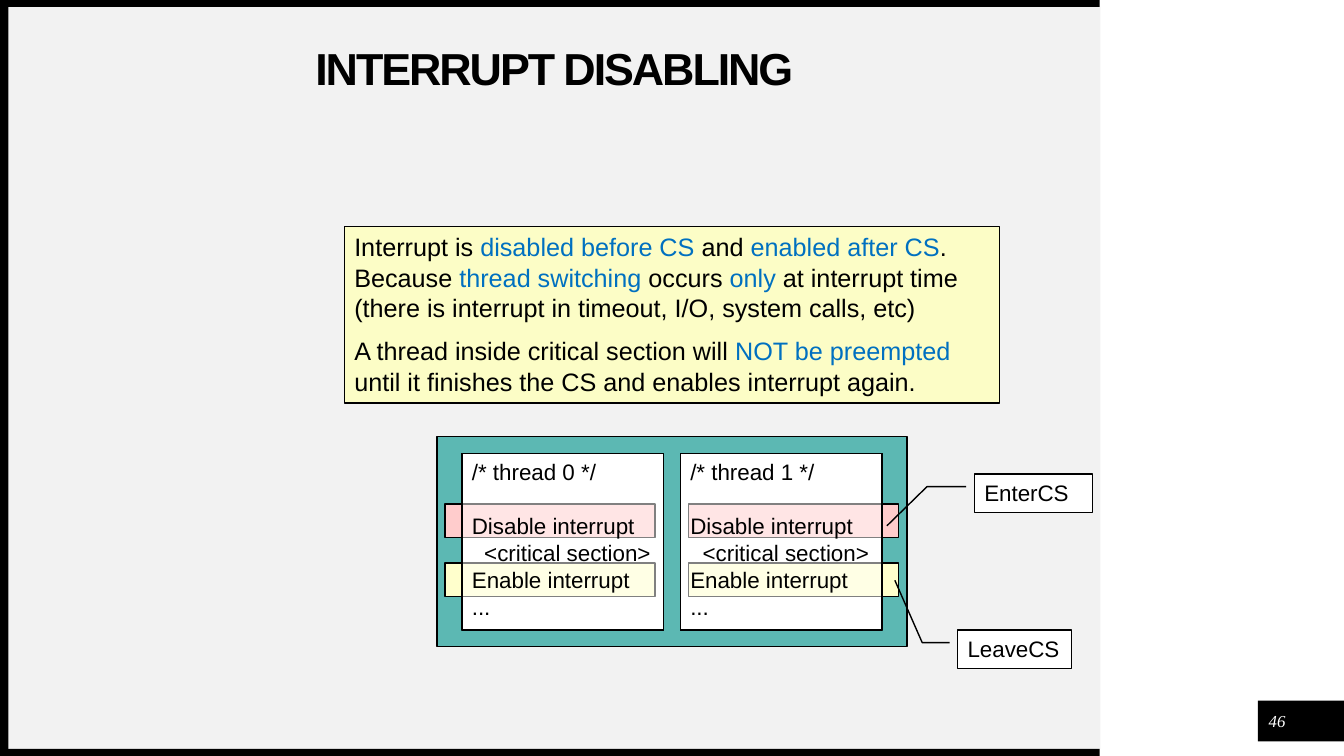
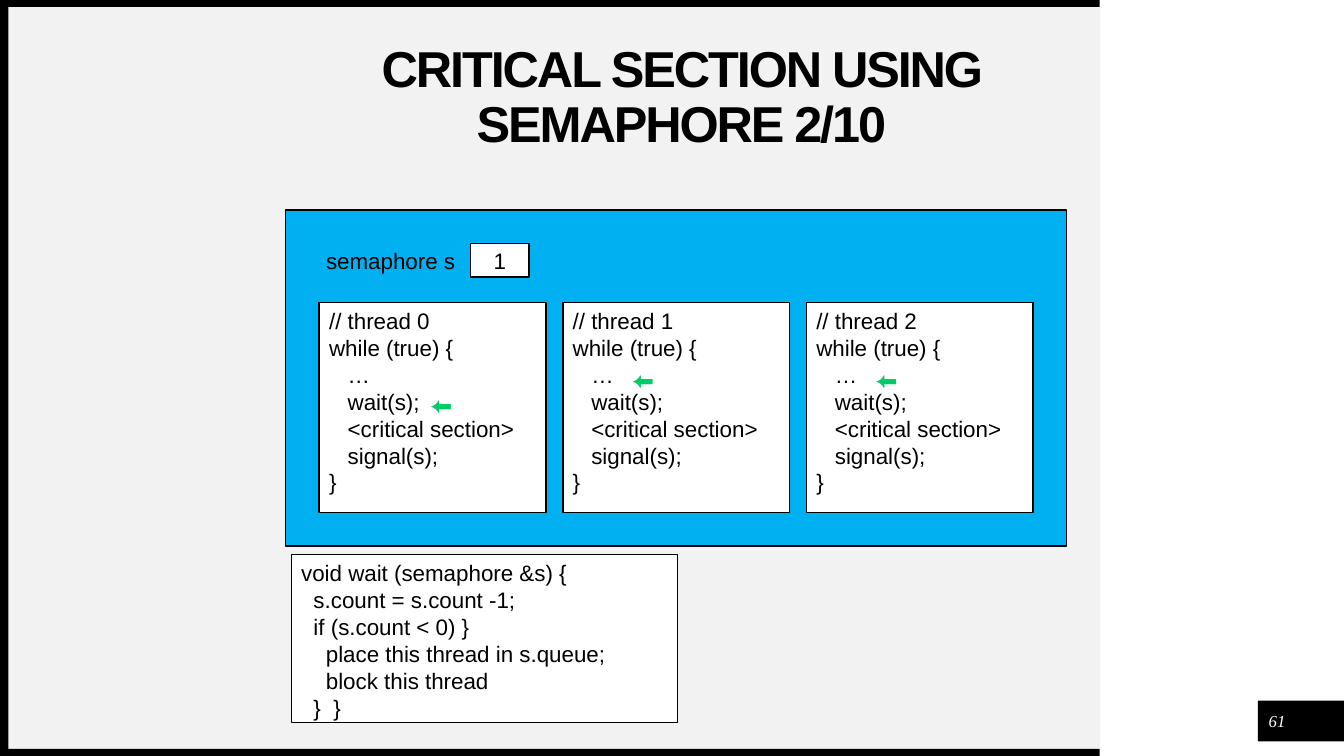
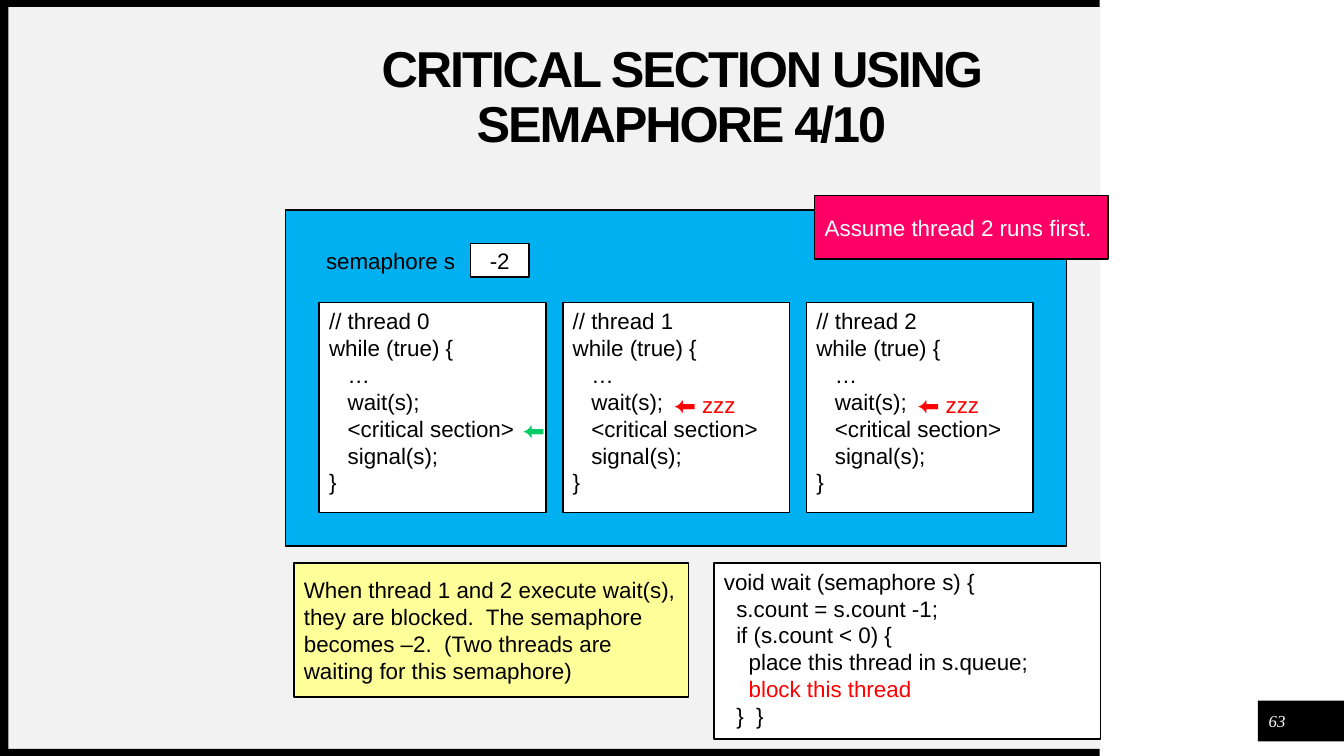
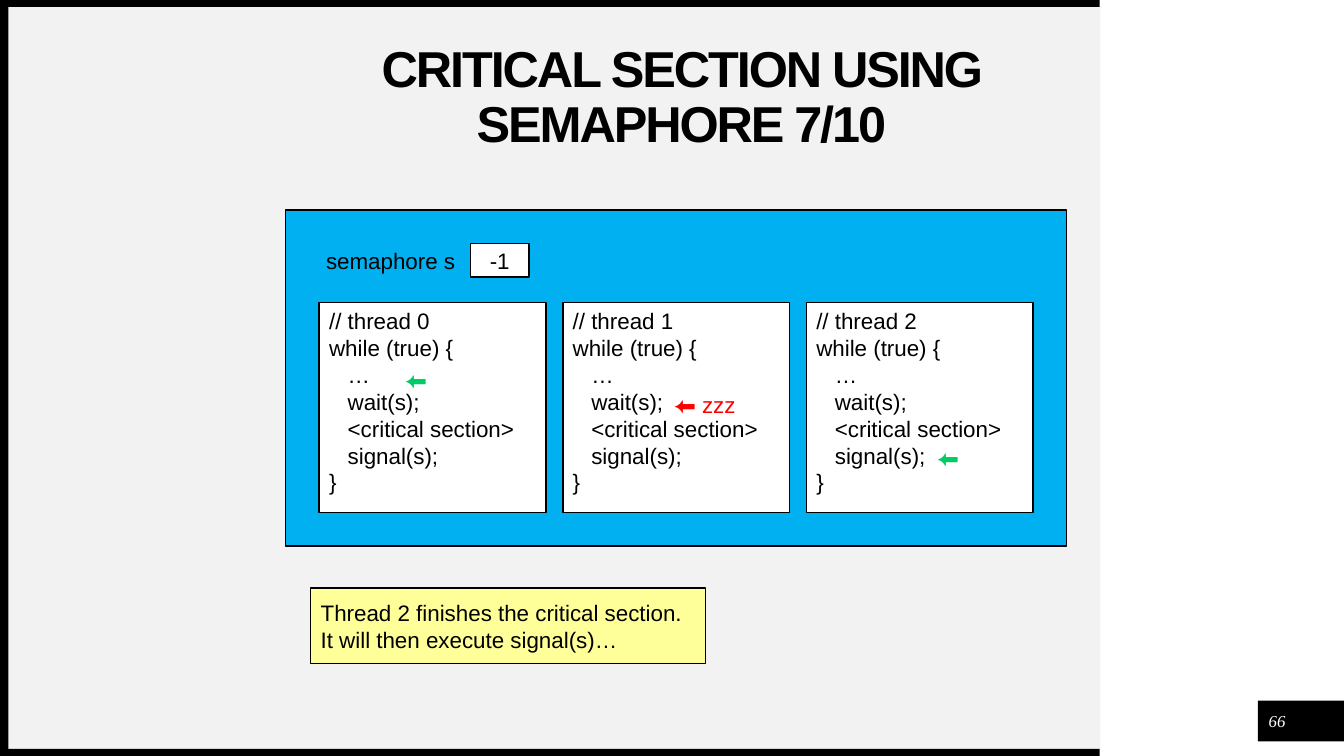
from pptx import Presentation
from pptx.dml.color import RGBColor
from pptx.enum import shapes, text
from pptx.util import Pt
from lxml import etree

BLACK, WHITE, BLUE, RED, GREEN = "000000", "FFFFFF", "0070C0", "FF0000", "00CC66"
ENTER, LEAVE, NOTE = "FFCCCC", "FFFFCC", "FFFF99"
BODY, NUMBER = "Arial", "Times New Roman"
RECT = shapes.MSO_SHAPE.RECTANGLE
CALLOUT = shapes.MSO_SHAPE.LINE_CALLOUT_2
MIDDLE = text.MSO_ANCHOR.MIDDLE
CENTER = text.PP_ALIGN.CENTER

BANDS = [
    ((6, 5, 780, 530), "F2F2F2"),
    ((898.5, 500.5, 61.5, 29), BLACK),
    ((0, 535, 785.5, 5), BLACK),
    ((0, 0, 785.5, 5), BLACK),
    ((0, 0, 6, 540), BLACK),
]

INTERRUPT = {
    "title": "INTERRUPT DISABLING",
    "number": "46",
    "prose": [
        [("Interrupt is ", BLACK), ("disabled before CS ", BLUE), ("and ", BLACK),
         ("enabled after CS", BLUE), (".  Because ", BLACK),
         ("thread switching ", BLUE), ("occurs ", BLACK), ("only ", BLUE),
         ("at interrupt time (there is interrupt in timeout, I/O, system calls, etc)", BLACK)],
        [("A thread inside critical section will ", BLACK), ("NOT be preempted ", BLUE),
         ("until it finishes the CS and enables interrupt again.", BLACK)],
    ],
    "code": ["/* thread {} */", "Disable interrupt", "  <critical section>",
             "Enable interrupt", "..."],
    "threads": [(330, 318), (486, 492)],
    "callouts": [
        ("EnterCS", (696, 338.5, 84.5, 27.5), (0.33, -0.07, 0.33, -0.4, 1.35, -0.74)),
        ("LeaveCS", (684, 450, 81.5, 27.5), (0.33, -0.07, 0.33, -0.31, -1.29, -0.55)),
    ],
}

THREAD_CODE = ["// thread {}", "while (true) {{", "   …", "   wait(s);",
               "   <critical section>", "   signal(s);", "}}"]
MARK_TOP = {"start": 258, "wait": 276, "critical": 294, "signal": 314}

SEMAPHORE = [
    {
        "title": "CRITICAL SECTION USING SEMAPHORE 2/10", "number": "61", "count": "1",
        "marks": [(0, "wait", 72, "⬅", GREEN), (1, "start", 42, "⬅", GREEN),
                  (2, "start", 42, "⬅", GREEN)],
        "boxes": [
            ((208, 396, 276, 120), WHITE, False,
             ["void wait (semaphore &s) {", "  s.count = s.count -1;",
              "  if (s.count < 0) }", "    place this thread in s.queue;",
              "    block this thread", "  }  }"]),
        ],
    },
    {
        "title": "CRITICAL SECTION USING SEMAPHORE 4/10", "number": "63", "count": "-2",
        "marks": [(0, "critical", 138, "⬅", GREEN), (1, "wait", 72, "⬅ zzz", RED),
                  (2, "wait", 72, "⬅ zzz", RED)],
        "boxes": [
            ((210, 402, 282, 96), NOTE, True,
             ["When thread 1 and 2 execute wait(s), they are blocked.  The semaphore "
              "becomes –2.  (Two threads are waiting for this semaphore)"]),
            ((510, 402, 276, 126), WHITE, False,
             ["void wait (semaphore s) {", "  s.count = s.count -1;",
              "  if (s.count < 0) {", "    place this thread in s.queue;",
              [("    block this thread", RED)], "  }  }"]),
            ((582, 139.5, 209.5, 45.5), "FF0066", True,
             [[("Assume thread 2 runs first.", WHITE)]]),
        ],
    },
    {
        "title": "CRITICAL SECTION USING SEMAPHORE 7/10", "number": "66", "count": "-1",
        "marks": [(0, "start", 54, "⬅", GREEN), (1, "wait", 72, "⬅ zzz", RED),
                  (2, "signal", 86, "⬅", GREEN)],
        "boxes": [
            ((222, 420, 282, 54), NOTE, True,
             ["Thread 2 finishes the critical section.  It will then execute signal(s)…"]),
        ],
    },
]


def rgb(value):
    return RGBColor.from_string(value)


def write(sp, paras, size=16, color=BLACK, font=BODY, anchor=text.MSO_ANCHOR.TOP,
          align=text.PP_ALIGN.LEFT, wrap=True, inset=True, gaps=None):
    tf = sp.text_frame
    tf.word_wrap = wrap
    tf.auto_size = text.MSO_AUTO_SIZE.NONE
    tf.vertical_anchor = anchor
    if not inset:
        tf.margin_left = tf.margin_right = tf.margin_top = tf.margin_bottom = 0
    for i, runs in enumerate(paras):
        p = tf.paragraphs[0] if i == 0 else tf.add_paragraph()
        p.alignment = align
        if gaps and i in gaps:
            p.space_before = Pt(gaps[i])
        for words, run_color in [(runs, color)] if isinstance(runs, str) else runs:
            r = p.add_run()
            r.text = words
            r.font.name, r.font.size = font, Pt(size)
            r.font.color.rgb = rgb(run_color)


def box(s, at, fill, line=True, kind=RECT, alpha=None):
    sp = s.shapes.add_shape(kind, *map(Pt, at))
    sp.shadow.inherit = False
    sp.fill.solid()
    sp.fill.fore_color.rgb = rgb(fill)
    if alpha:
        clr = sp.fill._xPr.find(".//{*}srgbClr")
        etree.SubElement(clr, clr.tag.replace("srgbClr", "alpha"), val=str(alpha * 1000))
    if line:
        sp.line.color.rgb = rgb(BLACK)
        sp.line.width = Pt(1)
    else:
        sp.line.fill.background()
    return sp


def label(s, at, words, **style):
    write(s.shapes.add_textbox(*map(Pt, at)), [words], **style)


def share_bands(s):
    tree = s.slide_layout.element.cSld.spTree
    for i, (at, fill) in enumerate(BANDS):
        sp = box(s, at, fill, line=False).element
        sp.nvSpPr.cNvPr.set("id", str(100 + i))
        tree.insert(2 + i, sp)


def new_slide(prs, content, title_at, title_size):
    s = prs.slides.add_slide(prs.slide_layouts[5])
    title = s.shapes.title
    title.left, title.top, title.width, title.height = map(Pt, title_at)
    write(title, [content["title"]], title_size, anchor=MIDDLE, align=CENTER, inset=False)
    p = title.text_frame.paragraphs[0]
    p.line_spacing = 0.9
    r = p.runs[0]
    r.font.bold = True
    r.font._element.set("spc", "-150")
    sp = s.shapes.add_textbox(*map(Pt, (901.5, 504, 21.5, 21.5)))
    write(sp, [content["number"]], 12, WHITE, NUMBER, MIDDLE, CENTER, inset=False)
    sp.text_frame.paragraphs[0].runs[0].font.italic = True
    return s


def interrupt_slide(prs, content):
    s = new_slide(prs, content, (34, 34, 724, 34), 32)
    share_bands(s)
    box(s, (312, 312, 336, 150), "5CB8B3")
    for i, (x, bar_x) in enumerate(content["threads"]):
        panel = (x, 324, 144, 126)
        box(s, panel, WHITE)
        for y, fill in ((360, ENTER), (402, LEAVE)):
            box(s, (bar_x, y, 150, 24), fill)
        write(box(s, panel, WHITE, alpha=50), [c.format(i) for c in content["code"]],
              wrap=False, gaps={1: 19.2})
    write(box(s, (246, 162, 468, 126), "FCFDC6"), content["prose"], 18, gaps={1: 9.5})
    for words, at, points in content["callouts"]:
        sp = box(s, at, WHITE, kind=CALLOUT)
        for i, value in enumerate(points):
            sp.adjustments[i] = value
        write(sp, [words])


def semaphore_slide(prs, content):
    s = new_slide(prs, content, (180, 36, 613.5, 69), 36)
    box(s, (204, 150, 558, 240), "00B0F0")
    centred = dict(anchor=MIDDLE, align=CENTER, wrap=False)
    label(s, (252, 174, 54, 24), "semaphore s", **centred)
    write(box(s, (336, 174, 42, 24), WHITE), [content["count"]], **centred)
    lefts = [228 + 174 * i for i in range(3)]
    for i, x in enumerate(lefts):
        write(box(s, (x, 216, 162, 150), WHITE), [c.format(i) for c in THREAD_CODE], wrap=False)
    for thread, row, dx, words, color in content["marks"]:
        width = 24 if words == "⬅" else 60
        label(s, (lefts[thread] + dx, MARK_TOP[row], width, 24), words, color=color, wrap=False)
    for at, fill, middle, paras in content["boxes"]:
        write(box(s, at, fill), paras, anchor=MIDDLE if middle else text.MSO_ANCHOR.TOP)


def main():
    prs = Presentation()
    prs.slide_width, prs.slide_height = Pt(960), Pt(540)
    interrupt_slide(prs, INTERRUPT)
    for content in SEMAPHORE:
        semaphore_slide(prs, content)
    prs.save("out.pptx")


if __name__ == "__main__":
    main()
